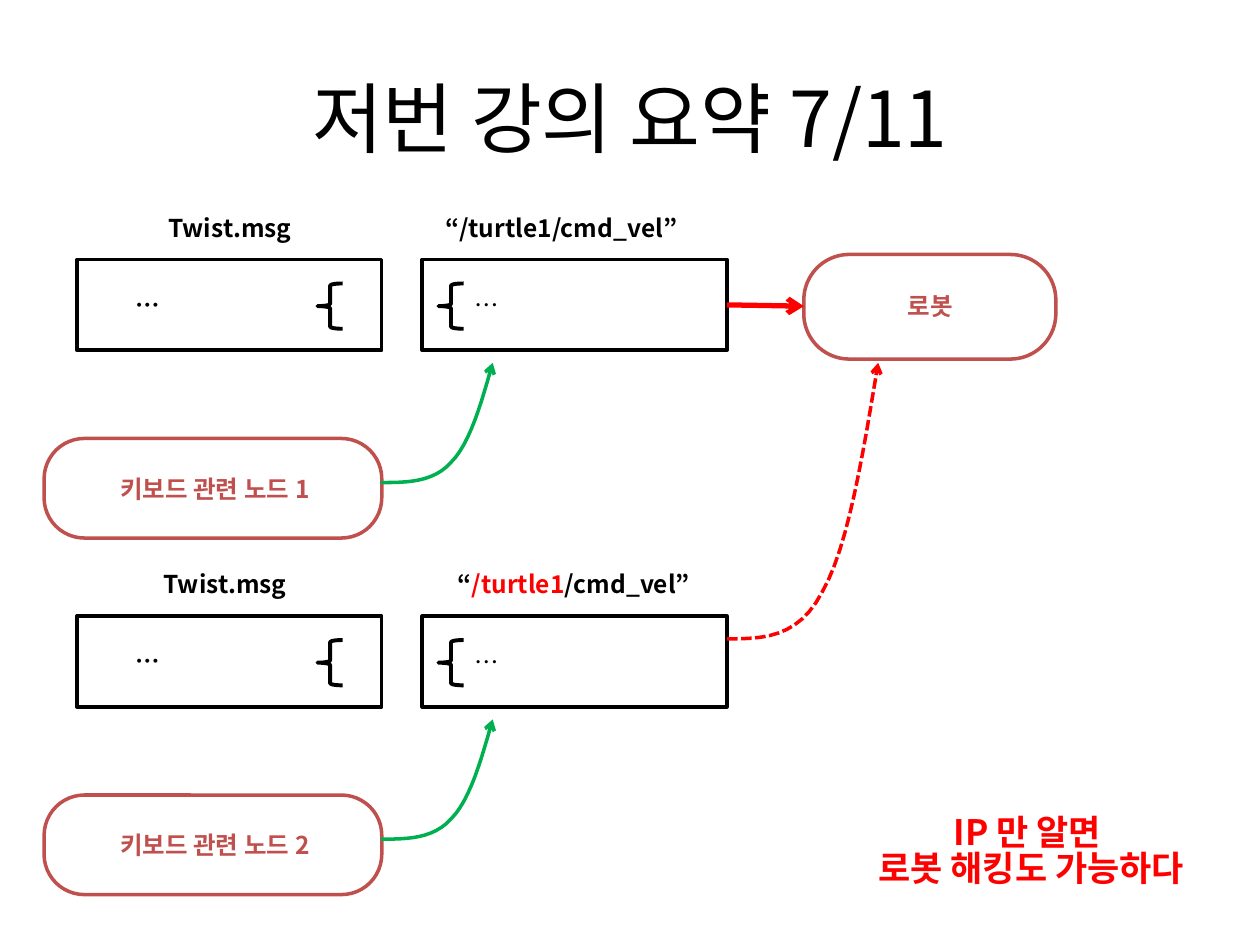
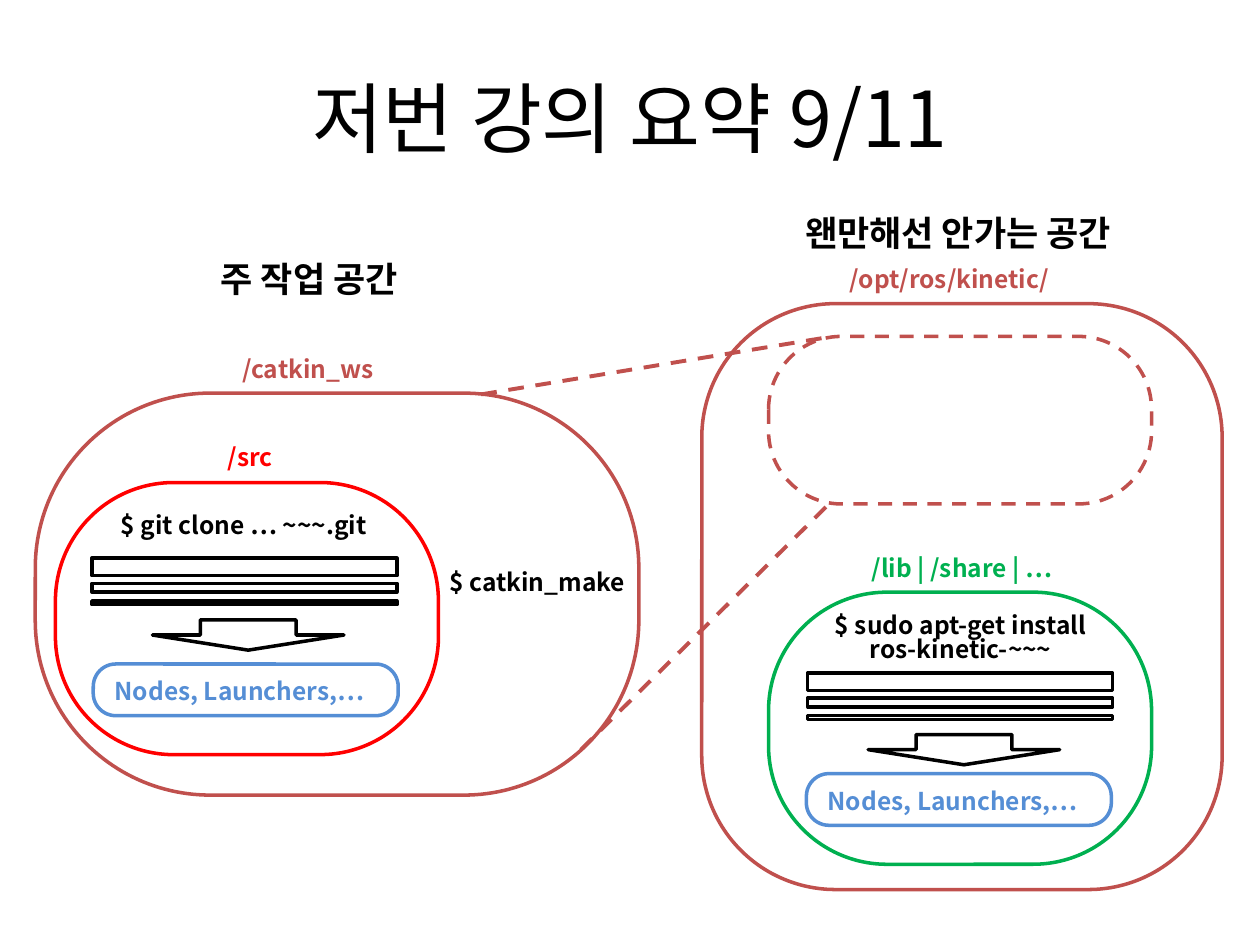
"""Build two lecture summary slides: topic message flow and workspace layout."""
from lxml.etree import SubElement
from pptx import Presentation
from pptx.dml.color import RGBColor
from pptx.enum.dml import MSO_LINE
from pptx.enum.shapes import MSO_CONNECTOR, MSO_SHAPE
from pptx.enum.text import MSO_ANCHOR, PP_ALIGN
from pptx.oxml.ns import qn
from pptx.util import Inches, Pt

FONT = "Noto Sans CJK KR"
BLACK, WHITE, RED = "000000", "FFFFFF", "FF0000"
BRICK, GREEN, BLUE = "C0504D", "00B050", "558ED5"


def outline(shape, color, width=2, dash=None, arrow=False, fill=None):
    """Style the line and fill of a shape or connector, without shadow."""
    shape.line.color.rgb = RGBColor.from_string(color)
    shape.line.width = Pt(width)
    if dash:
        shape.line.dash_style = dash
    if arrow:
        SubElement(shape.line._get_or_add_ln(), qn("a:tailEnd"), type="arrow")
    if fill:
        shape.fill.solid()
        shape.fill.fore_color.rgb = RGBColor.from_string(fill)
    elif hasattr(shape, "fill"):
        shape.fill.background()
    SubElement(shape._element.spPr, qn("a:effectLst"))


def write(box, spans, size=14, bold=True, align=PP_ALIGN.CENTER, spacing=None):
    """Fill a box with one paragraph of (text, colour) spans."""
    frame = box.text_frame
    frame.word_wrap = True
    frame.vertical_anchor = MSO_ANCHOR.MIDDLE
    para = frame.paragraphs[0]
    para.alignment = align
    if spacing:
        para.line_spacing = spacing
    for text, color in spans:
        if text == "\n":
            para.add_line_break()
            continue
        span = para.add_run()
        span.text = text
        span.font.name = FONT
        span.font.size = Pt(size)
        span.font.bold = bold
        span.font.color.rgb = RGBColor.from_string(color)
        SubElement(span.font._element, qn("a:ea"), typeface=FONT)


deck = Presentation()
deck.slide_width, deck.slide_height = Inches(10), Inches(7.5)
pages = []
for heading in ("저번 강의 요약 7/11", "저번 강의 요약 9/11"):
    page = deck.slides.add_slide(deck.slide_layouts[5])
    title = page.shapes.title
    title.left, title.top = Inches(0.5), Inches(0.3)
    title.width, title.height = Inches(9), Inches(1.25)
    write(title, [(heading, BLACK)], size=44, bold=False)
    pages.append(page)
flow, workspace = (page.shapes for page in pages)

rows = [
    (2.06, 0.69, 2.27, 3.43, [("“/turtle1/cmd_vel”", BLACK)], "키보드 관련 노드 1"),
    (4.89, 0.69, 2.19, 3.53, [("“", BLACK), ("/turtle1", RED), ("/cmd_vel”", BLACK)],
     "키보드 관련 노드 2"),
]
for top, message_left, message_width, topic_left, topic, node in rows:
    for left in (0.61, 3.35):
        frame = flow.add_shape(MSO_SHAPE.RECTANGLE, Inches(left), Inches(top),
                               Inches(2.42), Inches(0.72))
        outline(frame, BLACK)
    for left in (2.52, 3.48):
        brace = flow.add_shape(MSO_SHAPE.LEFT_BRACE, Inches(left), Inches(top + 0.19),
                               Inches(0.2), Inches(0.36))
        outline(brace, BLACK, 2.25)
    keyboard = flow.add_shape(MSO_SHAPE.ROUNDED_RECTANGLE, Inches(0.35), Inches(top + 1.42),
                              Inches(2.68), Inches(0.79))
    keyboard.adjustments[0] = 0.405
    outline(keyboard, BRICK)
    labels = [
        (message_left, -0.35, message_width, 0.19, [("Twist.msg", BLACK)], True, PP_ALIGN.CENTER),
        (topic_left, -0.35, 2.05, 0.19, topic, True, PP_ALIGN.CENTER),
        (0.98, 0.15, 2.1, 0.41, [("…", BLACK)], True, PP_ALIGN.LEFT),
        (3.67, 0.19, 0.35, 0.34, [("…", BLACK)], False, PP_ALIGN.LEFT),
        (0.37, 1.42, 2.67, 0.79, [(node, BRICK)], True, PP_ALIGN.CENTER),
    ]
    for left, drop, width, height, spans, bold, align in labels:
        box = flow.add_textbox(Inches(left), Inches(top + drop), Inches(width), Inches(height))
        write(box, spans, bold=bold, align=align)

robot = flow.add_shape(MSO_SHAPE.ROUNDED_RECTANGLE, Inches(6.38), Inches(2.02),
                       Inches(2), Inches(0.83))
robot.adjustments[0] = 0.435
outline(robot, BRICK)
box = flow.add_textbox(Inches(6.34), Inches(2.03), Inches(2.09), Inches(0.79))
write(box, [("로봇", BRICK)])
command = flow.add_connector(MSO_CONNECTOR.STRAIGHT, Inches(5.77), Inches(2.42),
                             Inches(6.38), Inches(2.43))
outline(command, RED, 3, arrow=True)

bends = [((0, 1), (0.23, 1), (0.47, 1), (0.63, 0.83)),
         ((0.63, 0.83), (0.8, 0.67), (0.9, 0.33), (1, 0))]
steps = 12
curve = [(0, 1)]
for bend in bends:
    for step in range(1, steps + 1):
        t = step / steps
        weights = ((1 - t) ** 3, 3 * t * (1 - t) ** 2, 3 * t ** 2 * (1 - t), t ** 3)
        curve.append(tuple(sum(weight * point[axis] for weight, point in zip(weights, bend))
                           for axis in (0, 1)))
for left, top, width, height, color, dash in [
    (3.02, 2.88, 0.89, 0.95, GREEN, None),
    (3.02, 5.71, 0.89, 0.95, GREEN, None),
    (5.77, 2.88, 1.2, 2.19, RED, MSO_LINE.SQUARE_DOT),
]:
    points = [(Inches(left + x * width), Inches(top + y * height)) for x, y in curve]
    builder = flow.build_freeform(*points[0])
    builder.add_line_segments(points[1:], close=False)
    outline(builder.convert_to_shape(), color, dash=dash, arrow=True)

box = flow.add_textbox(Inches(6.73), Inches(6.29), Inches(2.91), Inches(0.96))
write(box, [("IP 만 알면 ", RED), ("\n", RED), ("로봇 해킹도 가능하다", RED)],
      size=20, spacing=0.84)

for left, top, width, height, corner, color, dash in [
    (0.28, 3.12, 4.79, 3.19, 0.435, BRICK, None),
    (0.44, 3.83, 3.04, 2.16, 0.435, RED, None),
    (0.74, 5.27, 2.42, 0.41, 0.435, BLUE, None),
    (5.57, 2.41, 4.13, 4.65, 0.257, BRICK, None),
    (6.1, 4.7, 3.04, 2.16, 0.435, GREEN, None),
    (6.4, 6.14, 2.42, 0.41, 0.435, BLUE, None),
    (6.1, 2.67, 3.04, 1.33, 0.435, BRICK, MSO_LINE.DASH),
]:
    space = workspace.add_shape(MSO_SHAPE.ROUNDED_RECTANGLE, Inches(left), Inches(top),
                                Inches(width), Inches(height))
    space.adjustments[0] = corner
    outline(space, color, dash=dash)

for left, top in [(0.73, 4.43), (6.41, 5.34)]:
    for drop, height in [(0, 0.14), (0.2, 0.07), (0.34, 0.03)]:
        bar = workspace.add_shape(MSO_SHAPE.RECTANGLE, Inches(left), Inches(top + drop),
                                  Inches(2.42), Inches(height))
        outline(bar, BLACK)
    arrow = workspace.add_shape(MSO_SHAPE.DOWN_ARROW, Inches(left + 0.48), Inches(top + 0.49),
                                Inches(1.52), Inches(0.24))
    outline(arrow, BLACK, fill=WHITE)

for x1, y1, x2, y2 in [(3.82, 3.13, 6.61, 2.67), (4.61, 5.95, 6.59, 3.99)]:
    link = workspace.add_connector(MSO_CONNECTOR.STRAIGHT, Inches(x1), Inches(y1),
                                   Inches(x2), Inches(y2))
    outline(link, BRICK, 2.25, MSO_LINE.DASH)

for left, top, width, height, text, color, size, align, spacing in [
    (1, 1.73, 2.91, 0.96, "주 작업 공간", BLACK, 20, PP_ALIGN.CENTER, None),
    (6.15, 1.48, 2.91, 0.73, "왠만해선 안가는 공간", BLACK, 20, PP_ALIGN.CENTER, None),
    (1.4, 2.73, 2.09, 0.39, "/catkin_ws", BRICK, 14, PP_ALIGN.CENTER, None),
    (0.94, 3.43, 2.09, 0.39, "/src", RED, 14, PP_ALIGN.CENTER, None),
    (6.49, 2.02, 2.09, 0.39, "/opt/ros/kinetic/", BRICK, 14, PP_ALIGN.CENTER, None),
    (6.59, 4.31, 2.09, 0.39, "/lib | /share | …", GREEN, 14, PP_ALIGN.CENTER, None),
    (0.8, 4.07, 2.27, 0.19, "$ git clone … ~~~.git", BLACK, 14, PP_ALIGN.CENTER, None),
    (6.49, 4.98, 2.27, 0.19, "$ sudo apt-get install ros-kinetic-~~~", BLACK, 14,
     PP_ALIGN.CENTER, 0.82),
    (3.47, 4.41, 1.6, 0.41, "$ catkin_make", BLACK, 14, PP_ALIGN.LEFT, None),
    (0.81, 5.28, 2.35, 0.41, "Nodes, Launchers,…", BLUE, 14, PP_ALIGN.LEFT, None),
    (6.47, 6.15, 2.35, 0.41, "Nodes, Launchers,…", BLUE, 14, PP_ALIGN.LEFT, None),
]:
    box = workspace.add_textbox(Inches(left), Inches(top), Inches(width), Inches(height))
    write(box, [(text, color)], size=size, align=align, spacing=spacing)

deck.save("out.pptx")
